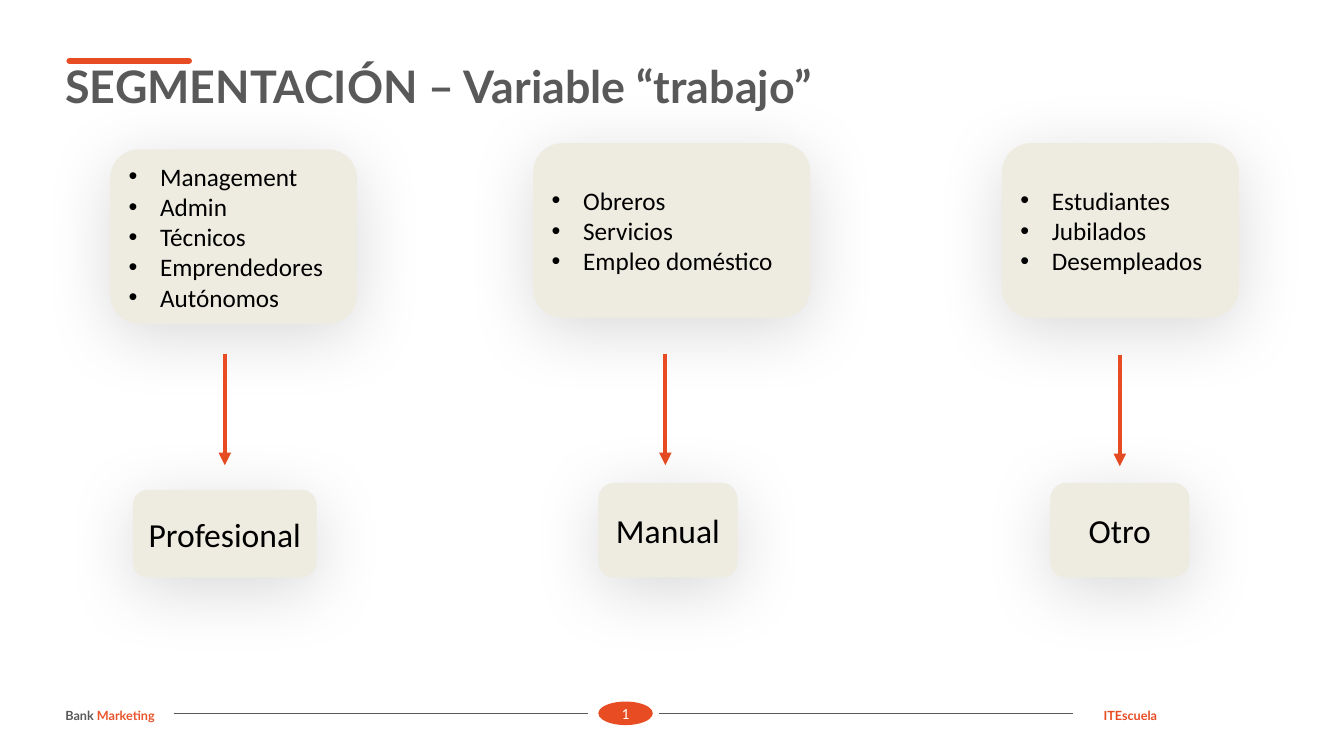
import pptx
import pptx.util
import pptx.dml.color
import pptx.enum.shapes
import pptx.enum.text
import pptx.oxml
import pptx.oxml.ns
import lxml.etree

Pt = pptx.util.Pt
SHAPE = pptx.enum.shapes.MSO_SHAPE
ALIGN = pptx.enum.text.PP_ALIGN
ANCHOR = pptx.enum.text.MSO_ANCHOR
ORANGE, GREY, BEIGE, BLACK, WHITE = "E84C22", "595959", "EEECE1", "000000", "FFFFFF"


def rgb(value):
    return pptx.dml.color.RGBColor.from_string(value)


def add_xml(parent, tag, **attrs):
    return lxml.etree.SubElement(parent, pptx.oxml.ns.qn(tag), attrs)


def write(p, text, font="Calibri", size=18, color=BLACK, bold=False):
    r = p.add_run()
    r.text = text
    r.font.name = font
    r.font.size = Pt(size)
    r.font.bold = bold
    r.font.color.rgb = rgb(color)


class SlideBuilder:
    def __init__(self, prs):
        self.slide = prs.slides.add_slide(prs.slide_layouts[6])
        self.shapes = self.slide.shapes

    def line(self, x1, y1, x2, y2, color, width, cap="flat", arrow=False):
        c = self.shapes.add_connector(
            pptx.enum.shapes.MSO_CONNECTOR.STRAIGHT, Pt(x1), Pt(y1), Pt(x2), Pt(y2))
        c.line.color.rgb = rgb(color)
        c.line.width = Pt(width)
        ln = c.line._get_or_add_ln()
        ln.set("cap", cap)
        if arrow:
            add_xml(ln, "a:tailEnd", type="triangle")
        add_xml(c._element.spPr, "a:effectLst")

    def textbox(self, x, y, w, h):
        """Add a wrapping text box and return its first paragraph."""
        tf = self.shapes.add_textbox(Pt(x), Pt(y), Pt(w), Pt(h)).text_frame
        tf.word_wrap = True
        return tf.paragraphs[0]

    def shape(self, kind, x, y, w, h, fill):
        sp = self.shapes.add_shape(kind, Pt(x), Pt(y), Pt(w), Pt(h))
        sp.shadow.inherit = False
        sp.fill.solid()
        sp.fill.fore_color.rgb = rgb(fill)
        sp.line.fill.background()
        sp.text_frame.vertical_anchor = ANCHOR.MIDDLE
        return sp

    def card(self, x, y, w, h):
        """Add a rounded box with a soft shadow and return its text frame."""
        sp = self.shape(SHAPE.ROUNDED_RECTANGLE, x, y, w, h, BEIGE)
        effects = sp._element.spPr.find(pptx.oxml.ns.qn("a:effectLst"))
        shadow = add_xml(effects, "a:outerShdw", blurRad=str(Pt(50)), dist=str(Pt(9)),
                         dir="5400000", algn="t", rotWithShape="0")
        add_xml(add_xml(shadow, "a:srgbClr", val=BLACK), "a:alpha", val="15000")
        return sp.text_frame

    def bullet_card(self, items, *box):
        tf = self.card(*box)
        tf.word_wrap = True
        for i, item in enumerate(items):
            p = tf.add_paragraph() if i else tf.paragraphs[0]
            p.alignment = ALIGN.LEFT
            pPr = p._p.get_or_add_pPr()
            pPr.set("marL", str(Pt(22.5)))
            pPr.set("indent", str(-Pt(22.5)))
            add_xml(pPr, "a:buFont", typeface="Arial")
            add_xml(pPr, "a:buChar", char="•")
            write(p, item)

    def label_card(self, text, *box):
        tf = self.card(*box)
        tf.word_wrap = False
        p = tf.paragraphs[0]
        p.alignment = ALIGN.CENTER
        write(p, text, size=24)

    def page_number(self, text, *box):
        sp = self.shape(SHAPE.OVAL, *box, ORANGE)
        tf = sp.text_frame
        tf.margin_left = tf.margin_right = tf.margin_top = tf.margin_bottom = 0
        p = tf.paragraphs[0]
        p.alignment = ALIGN.CENTER
        write(p, text, size=11, color=WHITE)

    def footer(self, left, accent, right):
        p = self.textbox(39.6, 501.8, 871, 28.8)
        tabs = add_xml(p._p.get_or_add_pPr(), "a:tabLst")
        add_xml(tabs, "a:tab", pos=str(Pt(741.6)), algn="l")
        write(p, left, "Lato", 9, GREY, True)
        write(p, accent + "\t", "Lato", 9, "E9542C", True)
        write(p, right, "Lato", 9, ORANGE, True)


# items, their box, arrow x and top, resulting segment, its box
SEGMENTS = [
    (["Management", "Admin", "Técnicos", "Emprendedores", "Autónomos"],
     (78.7, 106.7, 176.4, 124.6), 160.6, 252.7, "Profesional", (95, 349.9, 131.2, 62.6)),
    (["Obreros", "Servicios", "Empleo doméstico"],
     (380.9, 102.3, 198, 124.6), 475.3, 252.7, "Manual", (427.4, 344.9, 99.4, 67.6)),
    (["Estudiantes", "Jubilados", "Desempleados"],
     (715.7, 102.3, 169.2, 124.6), 799.9, 253.4, "Otro", (750.2, 344.9, 99.4, 67.6)),
]


def main():
    prs = pptx.Presentation()
    prs.slide_width, prs.slide_height = Pt(960), Pt(540)
    s = SlideBuilder(prs)

    s.line(49.7, 43.4, 134.9, 43.4, ORANGE, 4.5, cap="rnd")
    write(s.textbox(39.6, 38.2, 880.6, 46.1), "SEGMENTACIÓN – Variable “trabajo”",
          "Lato", 32, GREY, True)

    for items, box, arrow_x, arrow_y, segment, segment_box in SEGMENTS:
        s.bullet_card(items, *box)
        s.line(arrow_x, arrow_y, arrow_x, arrow_y + 79.6, ORANGE, 3, arrow=True)
        s.label_card(segment, *segment_box)

    for x in (124, 470.7):
        s.line(x, 509.6, x + 296, 509.6, GREY, 0.5)
    s.page_number("1", 427.4, 501.1, 38.9, 16.8)
    s.footer("Bank ", "Marketing", "ITEscuela")
    prs.save("out.pptx")


if __name__ == "__main__":
    main()
